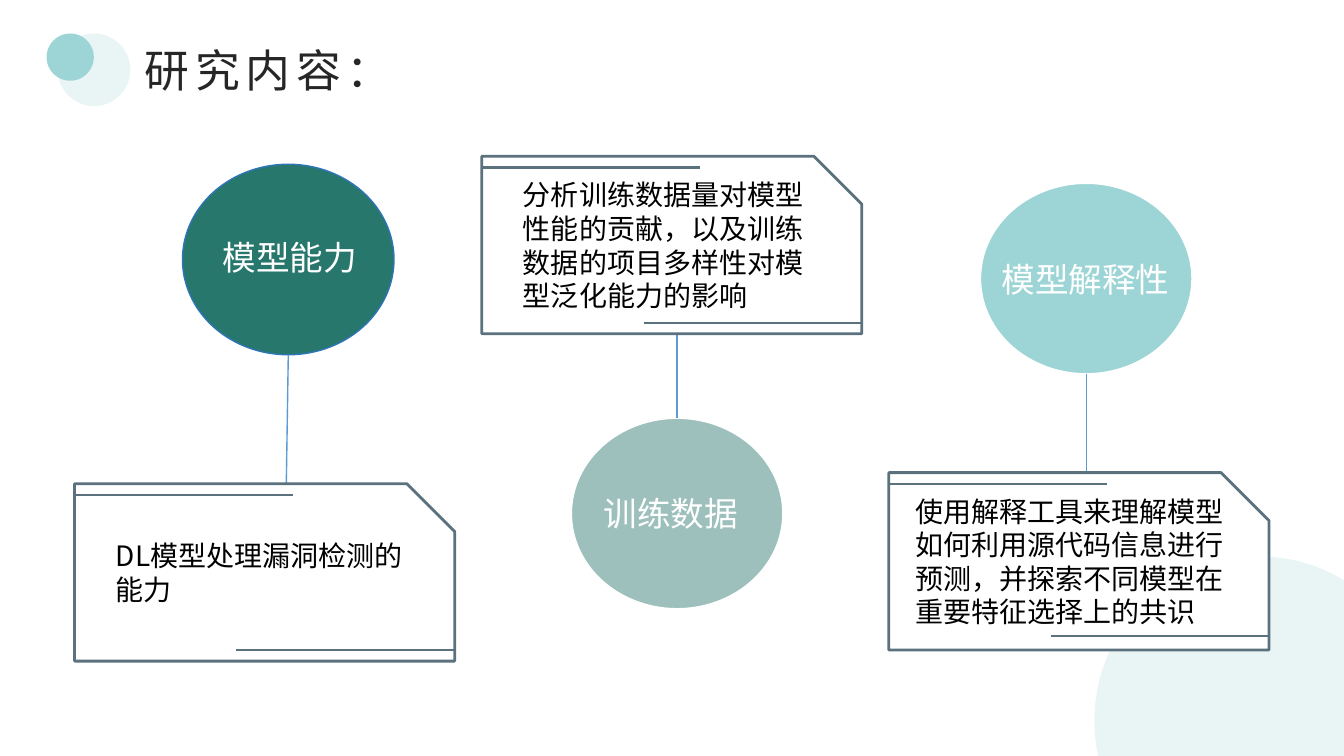
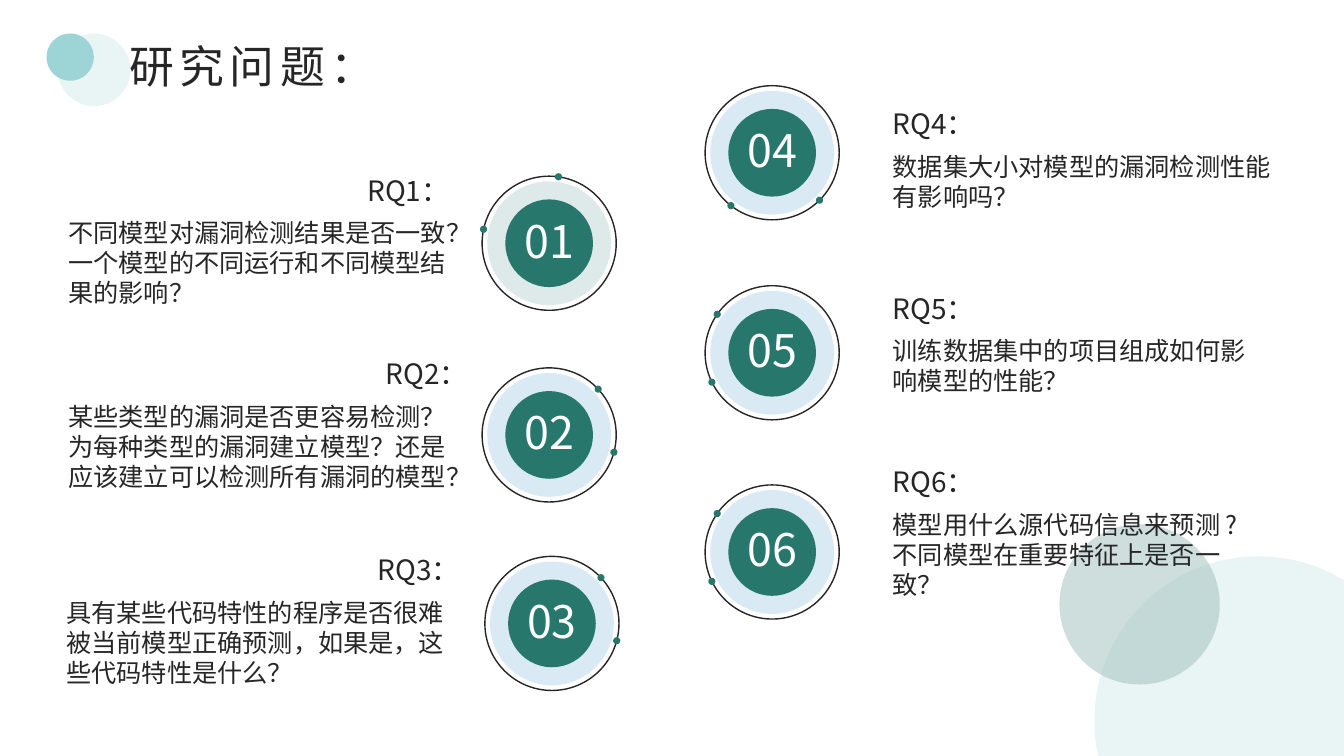
from dataclasses import dataclass
from math import cos, radians, sin
from typing import Optional

from lxml.etree import SubElement
from pptx import Presentation
from pptx.dml.color import RGBColor as Rgb
from pptx.enum.shapes import MSO_CONNECTOR as Conn, MSO_SHAPE as Geo
from pptx.enum.text import MSO_ANCHOR as Anchor, MSO_AUTO_SIZE as Fit, PP_ALIGN as Align
from pptx.oxml.ns import qn
from pptx.util import Cm, Pt


# Theme: colours, font and type sizes
@dataclass(frozen=True)
class Theme:
    font: str = "Noto Sans CJK SC"
    white: str = "FFFFFF"
    black: str = "000000"
    ink: str = "262626"
    pale: str = "E9F5F5"
    aqua: str = "9DD5D6"
    sage: str = "9DC0BC"
    teal: str = "27776D"
    blue: str = "0077C1"
    edge: str = "2E75B6"
    link: str = "5B9BD5"
    slate: str = "5B717E"
    title: int = 32
    label: int = 24
    head: int = 20
    body: int = 18


T = Theme()


# Repeated elements, lengths in centimetres
@dataclass(frozen=True)
class Topic:
    name: str
    text: str
    fill: str
    edge: str
    disc: tuple[float, float]
    label: tuple[float, float, float]
    card: tuple[float, float]
    pad: float = 0.79
    foot: float = 4.19
    lean: float = 0


@dataclass(frozen=True)
class Badge:
    num: str
    x: float
    y: float
    dots: tuple[int, int]
    halo: str = T.blue


@dataclass(frozen=True)
class Query:
    head: str
    text: str
    x: float
    y: float
    head_w: float
    body_w: float
    side: Align = Align.LEFT


DISC_W, DISC_H = 5.33, 4.8
CARD_W, CARD_H = 9.58, 4.47
RULE_W, RULE_Y = 5.5, 0.28
HALO, CORE, RING, DOT = 3.12, 2.21, 3.38, 0.18

TOPICS = [
    Topic("模型能力", "DL模型处理漏洞检测的能力", T.teal, T.edge,
          (4.6, 4.14), (5.36, 5.84, 4.22), (1.88, 12.19), lean=-0.05),
    Topic("训练数据", "分析训练数据量对模型性能的贡献，以及训练数据的项目多样性对模型泛化能力的影响",
          T.sage, T.white, (14.4, 10.54), (14.96, 12.29, 4.22), (12.14, 3.94)),
    Topic("模型解释性", "使用解释工具来理解模型如何利用源代码信息进行预测，并探索不同模型在重要特征选择上的共识",
          T.aqua, T.white, (24.71, 4.62), (24.99, 6.4, 4.78), (22.4, 11.91), 0.41, 4.11),
]

BADGES = [
    Badge("01", 13.84, 6.13, (192, 278), T.teal),
    Badge("02", 13.84, 10.96, (15, 317)),
    Badge("03", 13.91, 15.71, (15, 317)),
    Badge("04", 19.46, 3.85, (128, 45)),
    Badge("05", 19.46, 8.89, (215, 154)),
    Badge("06", 19.46, 13.91, (215, 154)),
]

QUERIES = [
    Query("RQ1：", "不同模型对漏洞检测结果是否一致？一个模型的不同运行和不同模型结果的影响？",
          1.47, 4.24, 10.11, 10.29, Align.RIGHT),
    Query("RQ2：", "某些类型的漏洞是否更容易检测？为每种类型的漏洞建立模型？还是应该建立可以检测所有漏洞的模型？",
          1.47, 8.87, 10.57, 10.57, Align.RIGHT),
    Query("RQ3：", "具有某些代码特性的程序是否很难被当前模型正确预测，如果是，这些代码特性是什么？",
          1.42, 13.81, 10.42, 10.42, Align.RIGHT),
    Query("RQ4：", "数据集大小对模型的漏洞检测性能有影响吗？", 22.25, 2.57, 6.68, 10.13),
    Query("RQ5：", "训练数据集中的项目组成如何影响模型的性能？", 22.25, 7.21, 6.3, 9.55),
    Query("RQ6：", "模型用什么源代码信息来预测 ? 不同模型在重要特征上是否一致？",
          22.25, 11.59, 6.17, 9.35),
]


# Drawing helpers
def add_run(para, text: str, size: int, color: str, gap: int = 0) -> None:
    run = para.add_run()
    run.text = text
    font = run.font
    font.name, font.size, font.bold = T.font, Pt(size), False
    font.color.rgb = Rgb.from_string(color)
    props = run.font._element
    SubElement(props, qn("a:ea")).set("typeface", T.font)
    if gap:
        props.set("spc", str(gap * 100))


def add_text(slide, text: str, x: float, y: float, w: float, h: float, size: int,
             color: str, align: Align = Align.LEFT, anchor: Anchor = Anchor.TOP) -> None:
    frame = slide.shapes.add_textbox(Cm(x), Cm(y), Cm(w), Cm(h)).text_frame
    frame.word_wrap, frame.vertical_anchor = True, anchor
    para = frame.paragraphs[0]
    para.alignment = align
    add_run(para, text, size, color)


def add_form(slide, kind: Geo, x: float, y: float, w: float, h: float,
             fill: Optional[str], line: Optional[str] = None, width: float = 1,
             alpha: int = 100):
    form = slide.shapes.add_shape(kind, Cm(x), Cm(y), Cm(w), Cm(h))
    form.shadow.inherit = False
    if fill:
        form.fill.solid()
        form.fill.fore_color.rgb = Rgb.from_string(fill)
        if alpha < 100:
            tint = form.element.spPr.find(".//" + qn("a:srgbClr"))
            SubElement(tint, qn("a:alpha")).set("val", str(alpha * 1000))
    else:
        form.fill.background()
    if line:
        form.line.color.rgb = Rgb.from_string(line)
        form.line.width = Pt(width)
    else:
        form.line.fill.background()
    return form


def add_disc(slide, x: float, y: float, size: float, fill: Optional[str],
             line: Optional[str] = None, alpha: int = 100) -> None:
    """Circle around its centre."""
    add_form(slide, Geo.OVAL, x - size / 2, y - size / 2, size, size, fill, line, 1, alpha)


def add_line(slide, x1: float, y1: float, x2: float, y2: float,
             color: str, width: float) -> None:
    line = slide.shapes.add_connector(Conn.STRAIGHT, Cm(x1), Cm(y1), Cm(x2), Cm(y2))
    line.line.color.rgb = Rgb.from_string(color)
    line.line.width = Pt(width)
    SubElement(line.element.spPr, qn("a:effectLst"))


def add_page(deck, text: str, x: float, y: float, w: float):
    """Slide with corner circle, title dots and title."""
    slide = deck.slides.add_slide(deck.slide_layouts[5])
    add_disc(slide, 31.72, 18.16, 8.28, T.pale)
    add_disc(slide, 2.37, 1.76, 1.83, T.pale)
    add_disc(slide, 1.77, 1.44, 1.19, T.aqua)
    title = slide.shapes.title
    title.left, title.top, title.width, title.height = Cm(x), Cm(y), Cm(w), Cm(1.63)
    frame = title.text_frame
    frame.auto_size, frame.vertical_anchor = Fit.NONE, Anchor.TOP
    para = frame.paragraphs[0]
    para.alignment = Align.LEFT
    add_run(para, text, T.title, T.ink, 4)
    title.element.getparent().append(title.element)
    return slide


# Parts of the slides
def add_topic(slide, topic: Topic) -> None:
    x, y = topic.disc
    left, top = topic.card
    add_form(slide, Geo.OVAL, x, y, DISC_W, DISC_H, topic.fill, topic.edge)
    lx, ly, lw = topic.label
    add_text(slide, topic.name, lx, ly, lw, 1.27, T.label, T.white)
    mid = x + DISC_W / 2
    ends = (y + DISC_H, top) if top > y else (y, top + CARD_H)
    add_line(slide, mid, ends[0], mid + topic.lean, ends[1], T.link, 1)
    card = add_form(slide, Geo.SNIP_1_RECTANGLE, left, top, CARD_W, CARD_H,
                    T.white, T.slate, 2)
    card.adjustments[0] = 0.27
    right = left + CARD_W
    for start, end, drop in ((left, left + RULE_W, RULE_Y),
                             (right - RULE_W, right, topic.foot)):
        add_line(slide, start, top + drop, end, top + drop, T.slate, 1.5)
    add_text(slide, topic.text, left + topic.pad, top, CARD_W - 2 * topic.pad, CARD_H,
             T.head, T.black, anchor=Anchor.MIDDLE)


def add_badge(slide, badge: Badge) -> None:
    x, y = badge.x, badge.y
    add_disc(slide, x, y, HALO, badge.halo, alpha=15)
    add_disc(slide, x, y, CORE, T.teal)
    add_disc(slide, x, y, RING, None, T.ink)
    for turn in map(radians, badge.dots):
        add_disc(slide, x + RING / 2 * cos(turn), y + RING / 2 * sin(turn), DOT, T.teal)
    add_text(slide, badge.num, x - 1.37, y - 0.88, 2.74, 1.63, T.title, T.white, Align.CENTER)


def add_query(slide, query: Query) -> None:
    add_text(slide, query.head, query.x, query.y, query.head_w, 1.12, T.head, T.ink, query.side)
    add_text(slide, query.text, query.x, query.y + 1.11, query.body_w, 2.57, T.body, T.ink)


def main() -> None:
    deck = Presentation()
    deck.slide_width, deck.slide_height = Cm(33.87), Cm(19.05)

    # Research content
    slide = add_page(deck, "研究内容：", 3.4, 0.94, 8.92)
    for topic in TOPICS:
        add_topic(slide, topic)

    # Research questions
    slide = add_page(deck, "研究问题：", 3, 0.84, 16.94)
    add_disc(slide, 28.72, 15.23, 4.04, T.sage, alpha=51)
    for badge in BADGES:
        add_badge(slide, badge)
    for query in QUERIES:
        add_query(slide, query)

    deck.save("out.pptx")


if __name__ == "__main__":
    main()
